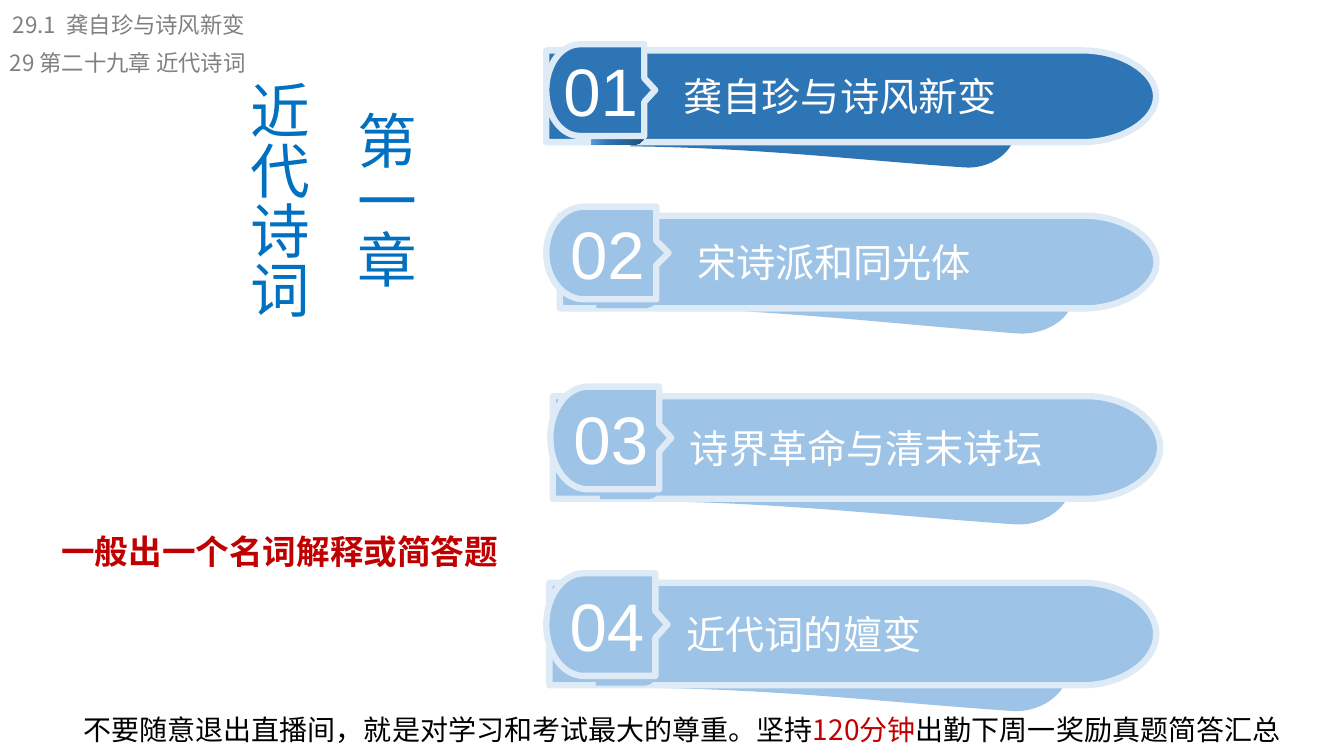
from copy import deepcopy

from lxml import etree
from pptx import Presentation
from pptx.dml.color import RGBColor
from pptx.enum.text import MSO_ANCHOR, MSO_AUTO_SIZE, PP_ALIGN
from pptx.oxml.ns import qn
from pptx.util import Pt

CENTER, LEFT = PP_ALIGN.CENTER, PP_ALIGN.LEFT
MIDDLE = MSO_ANCHOR.MIDDLE
FIT_SHAPE = MSO_AUTO_SIZE.SHAPE_TO_FIT_TEXT
CJK, LATIN = "Noto Sans CJK SC", "Arial"

COLORS = {
    "active": "2E75B6", "idle": "9DC3E6", "outline": "DEEBF7",
    "fold_dark": "1F4E79", "fold_light": "5B9BD5", "white": "FFFFFF",
    "title": "0070C0", "red": "C00000", "black": "000000", "gray": "808080",
}

SWOOSH = [(0, .09), (.88, 0), (.94, 0, 1, .17, 1, .38), (1, .59, .94, .76, .88, .77),
          (.59, .84, .34, .85, .01, 1), (.01, .75, 0, .34, 0, .09)]
BANNER = [(0, 0), (.88, 0), (.94, 0, 1, .22, 1, .5), (1, .78, .94, 1, .88, 1), (0, 1)]
FOLD = [(0, 0), (.8, 0), (.91, 0, 1, .13, 1, .31), (1, .67), (1, .86, .91, 1, .8, 1), (0, 1)]
TAG = [(.31, 0), (.9, 0), (.9, .37), (1, .5), (.9, .63), (.9, 1), (.31, 1),
       (.14, 1, 0, .78, 0, .5), (0, .22, .14, 0, .31, 0)]

ITEMS = [
    ("01", "龚自珍与诗风新变", "active", (390.2, 31.6, 77.8, 65.5), (0, 4.4, 435.6)),
    ("02", "宋诗派和同光体", "idle", (390.2, 147.6, 87.4, 66.2), (9.7, 6.5, 426.2)),
    ("03", "诗界革命与清末诗坛", "idle", (393.1, 276.2, 86.4, 73.3), (1.8, 6.8, 433.8)),
    ("04", "近代词的嬗变", "idle", (390.2, 409.5, 86.6, 73.3), (2.2, 6.7, 433.5)),
]


def rgb(name):
    return RGBColor.from_string(COLORS[name])


def style_run(r, size, color, font=CJK, bold=None):
    r.font.size = Pt(size)
    r.font.name = font
    r.font.bold = bold
    r.font.color.rgb = rgb(color)
    ea = etree.SubElement(r.font._element, qn("a:ea"))
    ea.set("typeface", font)


def bend_curves(sp, steps):
    segments = iter(sp._element.findall(".//" + qn("a:lnTo")))
    for step in steps[1:]:
        first = next(segments)
        if len(step) == 6:
            first.tag = qn("a:cubicBezTo")
            for segment in (next(segments), next(segments)):
                first.append(segment[0])
                segment.getparent().remove(segment)


def add_outline(shapes, steps, box, color, outlined=False):
    x, y, w, h = box
    points = [(Pt(x + step[i] * w), Pt(y + step[i + 1] * h))
              for step in steps for i in range(0, len(step), 2)]
    builder = shapes.build_freeform(*points[0], scale=1.0)
    builder.add_line_segments(points[1:], close=True)
    sp = builder.convert_to_shape()
    bend_curves(sp, steps)
    sp.shadow.inherit = False
    sp.fill.solid()
    sp.fill.fore_color.rgb = rgb(color)
    if outlined:
        sp.line.color.rgb = rgb("outline")
        sp.line.width = Pt(4.5)
    else:
        sp.line.fill.background()
    return sp


def shade_fold(sp):
    sp.fill.gradient()
    stop_list = sp._element.spPr.find(".//" + qn("a:gsLst"))
    stop_list.insert(0, deepcopy(stop_list[0]))
    sp.fill.gradient_angle = 180
    stops = [(0, "fold_dark"), (.71, "active"), (1, "fold_light")]
    for stop, (position, color) in zip(sp.fill.gradient_stops, stops):
        stop.position = position
        stop.color.rgb = rgb(color)


def label(sp, text, size, font, align):
    tf = sp.text_frame
    tf.word_wrap = True
    tf.vertical_anchor = MIDDLE
    p = tf.paragraphs[0]
    p.text = text
    p.alignment = align
    style_run(p.runs[0], size, "white", font)


def add_item(s, number, text, color, box, banner_place):
    x, y, w, h = box
    dx, dy, banner_w = banner_place
    shapes = s.shapes.add_group_shape().shapes
    swoosh = add_outline(shapes, SWOOSH, (x + .785 * w, y + .263 * h, 3.52 * w, 1.13 * h), color)
    swoosh.rotation = 7.7
    banner = add_outline(shapes, BANNER, (x + dx, y + dy, banner_w, h), color, True)
    label(banner, text, 28, CJK, LEFT)
    banner.text_frame.margin_left = Pt(98)
    fold = add_outline(shapes, FOLD, (x + .41 * w, y + .57 * h, .51 * w, .525 * h), color)
    if color == "active":
        shade_fold(fold)
    tag = add_outline(shapes, TAG, box, color, True)
    label(tag, number, 48, LATIN, CENTER)


def add_text(s, box, paragraphs, size, wrap=True, spacing=None, align=None,
             bold=None, vertical=False):
    tf = s.shapes.add_textbox(*(Pt(v) for v in box)).text_frame
    tf.word_wrap = wrap
    tf.auto_size = FIT_SHAPE
    if vertical:
        tf._txBody.bodyPr.set("vert", "eaVert")
    for i, runs in enumerate(paragraphs):
        p = tf.add_paragraph() if i else tf.paragraphs[0]
        p.alignment = align
        p.line_spacing = spacing
        for text, color in runs:
            r = p.add_run()
            r.text = text
            style_run(r, size, color, bold=bold)


def add_headings(s, box):
    x, y, w, h = box
    add_text(s, (x + 2.2, y, w, h), [[("29.1  龚自珍与诗风新变", "gray")]], 16)
    add_text(s, (x, y + 27.4, w, h), [[("29 第二十九章 近代诗词", "gray")]], 16)


def main():
    prs = Presentation()
    prs.slide_width, prs.slide_height = Pt(960), Pt(540)
    s = prs.slides.add_slide(prs.slide_layouts[6])
    add_text(s, (52.6, 493.2, 892.8, 43.9), [[
        ("不要随意退出直播间，就是对学习和考试最大的尊重。坚持", "black"),
        ("120分钟", "red"), ("出勤下周一奖励真题简答汇总", "black")]],
        20, wrap=False, spacing=1.5)
    add_text(s, (160.2, 51.1, 169.9, 423.4),
             [[("第一章", "title")], [("近代诗词", "title")]],
             42.6, spacing=1.5, align=CENTER, vertical=True)
    for item in ITEMS:
        add_item(s, *item)
    add_headings(s, (0, 4.3, 417.6, 26.6))
    add_text(s, (36.7, 361.6, 329.8, 45.4), [[("一般出一个名词解释或简答题", "red")]],
             24, wrap=False, spacing=1.5, bold=True)
    prs.save("out.pptx")


if __name__ == "__main__":
    main()
